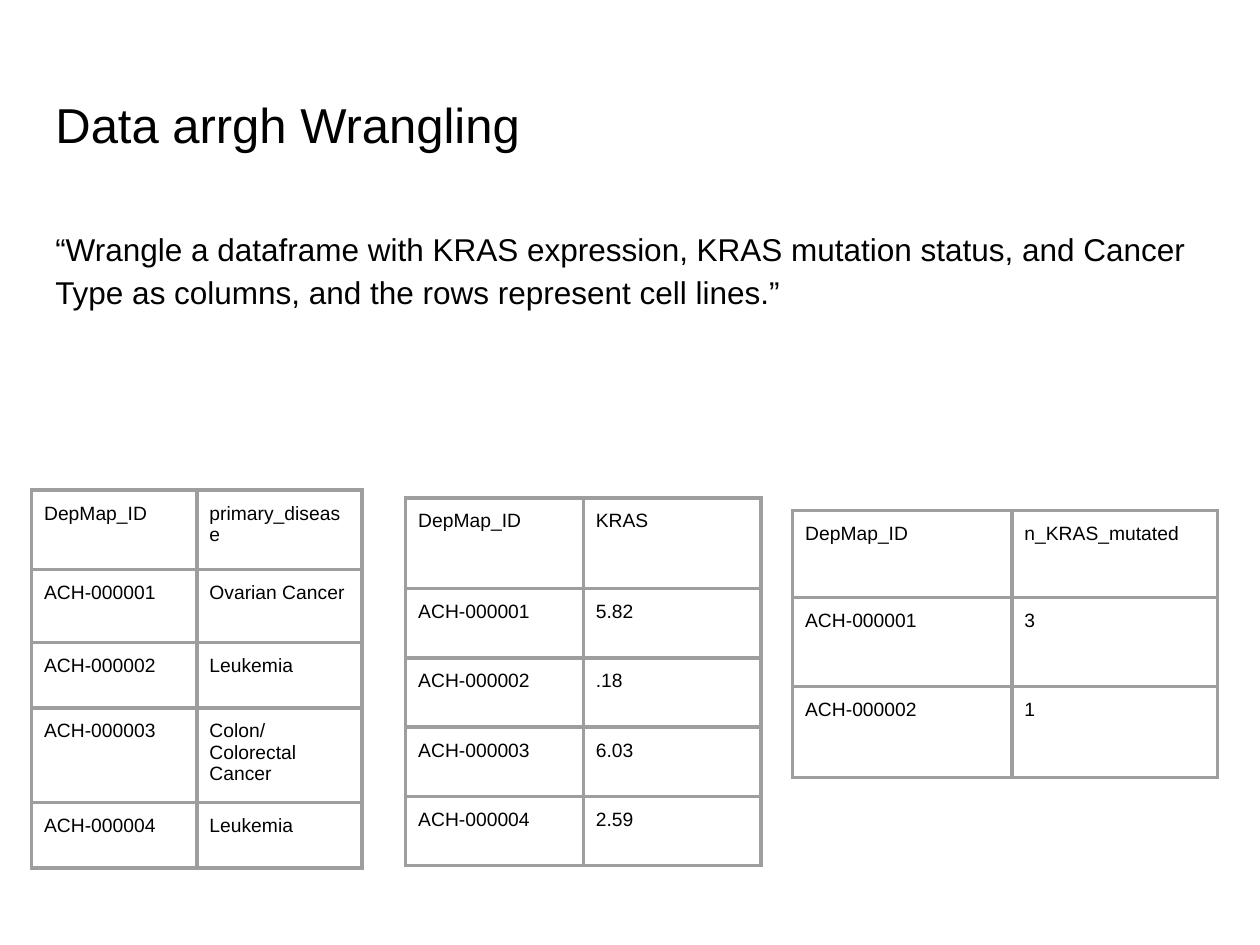
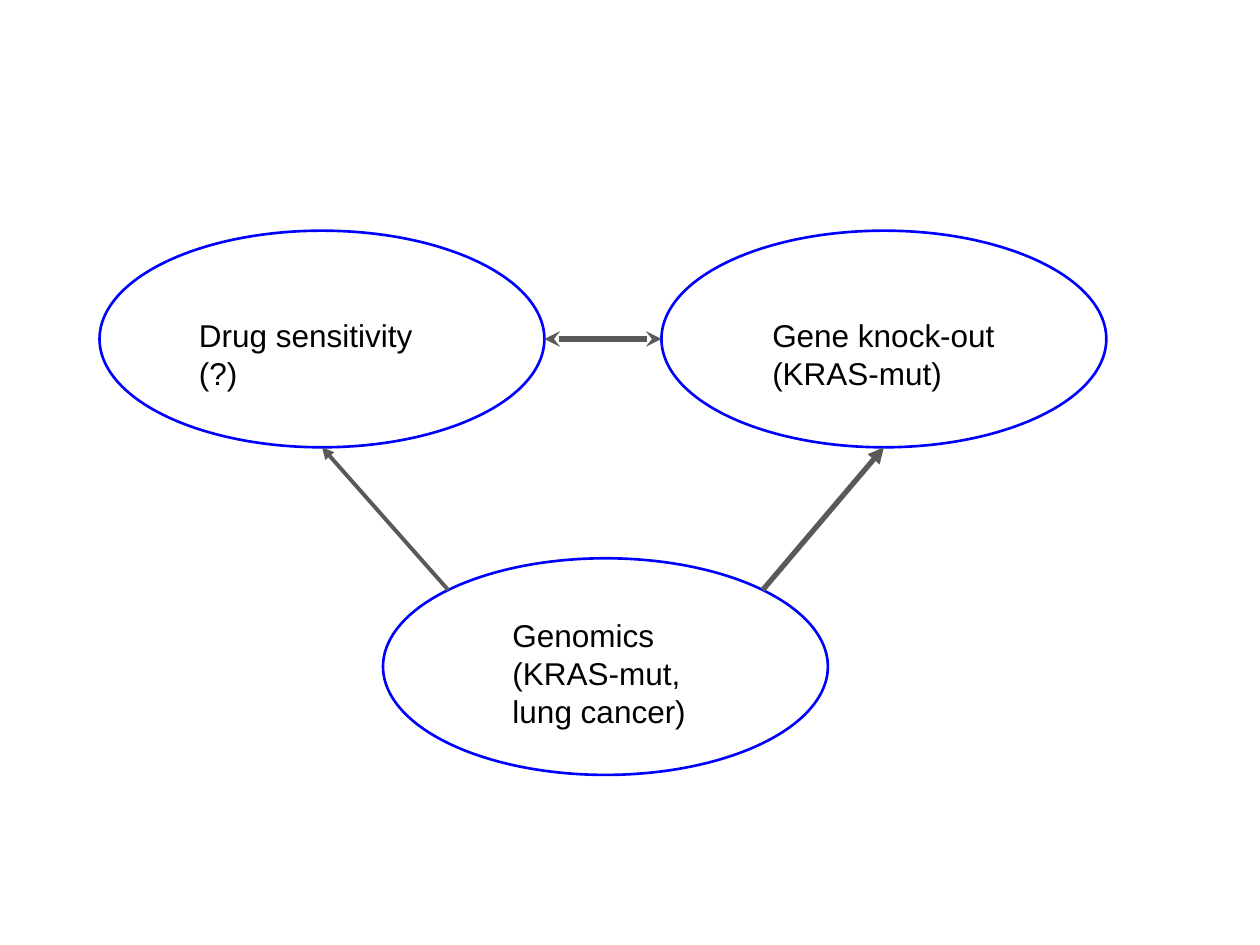
from math import sqrt

from lxml import etree
from pptx import Presentation
from pptx.dml.color import RGBColor
from pptx.enum.shapes import MSO_CONNECTOR as Connector, MSO_SHAPE as Shape
from pptx.enum.text import MSO_ANCHOR as Anchor, MSO_AUTO_SIZE as AutoSize, PP_ALIGN as Align
from pptx.oxml.ns import qn
from pptx.util import Pt

# Content
TITLE = "Data arrgh Wrangling"
TASK = ("“Wrangle a dataframe with KRAS expression, KRAS mutation status, "
        "and Cancer Type as columns, and the rows represent cell lines.”")
TABLES = [
    dict(at=(18, 280.1), columns=[94.5, 94.5], heights=[45.2, 41.8, 37.5, 48.2, 37.5],
         rows=[("DepMap_ID", "primary_disease"),
               ("ACH-000001", "Ovarian Cancer"),
               ("ACH-000002", "Leukemia"),
               ("ACH-000003", "Colon/Colorectal Cancer"),
               ("ACH-000004", "Leukemia")]),
    dict(at=(231.8, 284.5), columns=[101.5, 101.5], heights=[51.8] + [39.6] * 4,
         rows=[("DepMap_ID", "KRAS"),
               ("ACH-000001", "5.82"),
               ("ACH-000002", ".18"),
               ("ACH-000003", "6.03"),
               ("ACH-000004", "2.59")]),
    dict(at=(452.9, 291.6), columns=[125.3, 117.4], heights=[49.7, 51.1, 51.8],
         rows=[("DepMap_ID", "n_KRAS_mutated"),
               ("ACH-000001", "3"),
               ("ACH-000002", "1")]),
]
# name: (ellipse left and top, label box, label paragraphs)
TOPICS = {
    "knockout": ((378, 131.8), (434.2, 173.5, 147.6, 58.3), ["Gene knock-out (KRAS-mut)"]),
    "genomics": ((218.9, 319), (285.8, 344.9, 127.4, 79.9),
                 ["Genomics", "(KRAS-mut, lung cancer)"]),
    "drug": ((56.9, 131.8), (106.6, 173.5, 143.3, 58.3), ["Drug sensitivity", "(?)"]),
}
DIAGONAL = sqrt(0.5)
# start topic and side, end topic and side, width, arrowheads (start, end)
ARROWS = [
    ("genomics", (-DIAGONAL, -DIAGONAL), "drug", (0, 1), 2.25, (None, "triangle")),
    ("genomics", (DIAGONAL, -DIAGONAL), "knockout", (0, 1), 3, (None, "triangle")),
    ("drug", (1, 0), "knockout", (-1, 0), 3, ("stealth", "stealth")),
]

# Shared look
FONT = "Arial"
BLACK = RGBColor(0x00, 0x00, 0x00)
BLUE = RGBColor(0x00, 0x00, 0xFF)
ARROW_GRAY = RGBColor(0x59, 0x59, 0x59)
BORDER_GRAY = RGBColor(0x9E, 0x9E, 0x9E)
BORDER_WIDTH = 2.25
INSET = 7.2
MARGIN, TEXT_WIDTH = 24.5, 671
OVAL_WIDTH, OVAL_HEIGHT = 254.2, 123.8


def write(frame, lines, size):
    frame.word_wrap = True
    frame.vertical_anchor = Anchor.TOP
    frame.margin_left = frame.margin_right = Pt(INSET)
    frame.margin_top = frame.margin_bottom = Pt(INSET)
    for index, line in enumerate(lines):
        para = frame.add_paragraph() if index else frame.paragraphs[0]
        para.alignment = Align.LEFT
        span = para.add_run()
        span.text = line
        span.font.name, span.font.size = FONT, Pt(size)
        span.font.color.rgb = BLACK


def add_text(page, place, lines, size):
    box = page.shapes.add_textbox(*map(Pt, place))
    write(box.text_frame, lines, size)
    return box.text_frame


def add_borders(cell):
    properties = cell._tc.get_or_add_tcPr()
    for position, side in enumerate(("lnL", "lnR", "lnT", "lnB")):
        line = etree.Element(qn(f"a:{side}"), w=str(Pt(BORDER_WIDTH)))
        fill = etree.SubElement(line, qn("a:solidFill"))
        etree.SubElement(fill, qn("a:srgbClr"), val=str(BORDER_GRAY))
        properties.insert(position, line)


def add_data_table(page, at, columns, heights, rows):
    size = sum(columns), sum(heights)
    table = page.shapes.add_table(len(rows), len(columns), *map(Pt, at + size)).table
    table.first_row = table.horz_banding = False
    for column, width in zip(table.columns, columns):
        column.width = Pt(width)
    for row, height, values in zip(table.rows, heights, rows):
        row.height = Pt(height)
        for cell, value in zip(row.cells, values):
            cell.fill.background()
            cell.margin_left = cell.margin_right = Pt(INSET)
            cell.margin_top = cell.margin_bottom = Pt(INSET)
            span = cell.text_frame.paragraphs[0].add_run()
            span.text = value
            span.font.name, span.font.size = FONT, Pt(11)
            span.font.bold = False
            span.font.color.rgb = BLACK
            add_borders(cell)


def oval_point(topic, side):
    (left, top), (across, down) = TOPICS[topic][0], side
    return left + OVAL_WIDTH / 2 * (1 + across), top + OVAL_HEIGHT / 2 * (1 + down)


def add_arrow(page, start, end, width, heads):
    arrow = page.shapes.add_connector(Connector.STRAIGHT, *map(Pt, start + end))
    arrow.line.color.rgb, arrow.line.width = ARROW_GRAY, Pt(width)
    line = arrow.line._get_or_add_ln()
    for tag, head in zip(("a:headEnd", "a:tailEnd"), heads):
        if head:
            etree.SubElement(line, qn(tag), type=head, w="med", len="med")
    etree.SubElement(arrow._element.spPr, qn("a:effectLst"))


def build_wrangling(deck):
    page = deck.slides.add_slide(deck.slide_layouts[5])
    title = page.shapes.title
    title.left, title.top, title.width, title.height = map(Pt, (MARGIN, 46.8, TEXT_WIDTH, 59.8))
    write(title.text_frame, [TITLE], 28)
    title.text_frame.auto_size = AutoSize.NONE
    task = add_text(page, (MARGIN, 121, TEXT_WIDTH, 358.6), [TASK], 18).paragraphs[0]
    task.line_spacing, task.space_after = 1.15, Pt(12)
    for table in TABLES:
        add_data_table(page, **table)


def build_topics(deck):
    page = deck.slides.add_slide(deck.slide_layouts[6])
    # Ellipses with their labels
    for corner, place, lines in TOPICS.values():
        oval = page.shapes.add_shape(Shape.OVAL, *map(Pt, corner + (OVAL_WIDTH, OVAL_HEIGHT)))
        oval.shadow.inherit = False
        oval.fill.background()
        oval.line.color.rgb, oval.line.width = BLUE, Pt(1.5)
        add_text(page, place, lines, 18).auto_size = AutoSize.SHAPE_TO_FIT_TEXT
    # Arrows between the ellipses
    for source, source_side, target, target_side, width, heads in ARROWS:
        add_arrow(page, oval_point(source, source_side), oval_point(target, target_side),
                  width, heads)


def main():
    deck = Presentation()
    deck.slide_width, deck.slide_height = Pt(720), Pt(540)
    build_wrangling(deck)
    build_topics(deck)
    deck.save("out.pptx")


if __name__ == "__main__":
    main()
